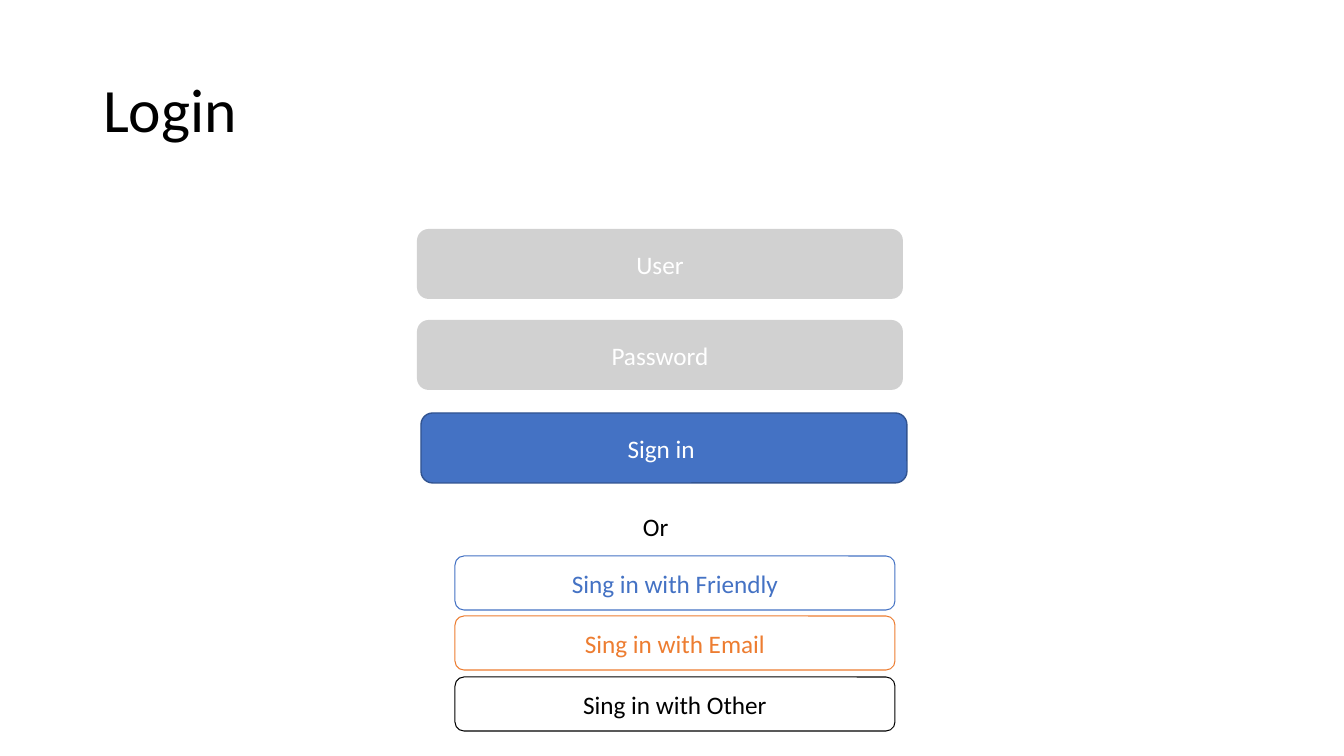
"""Build the login screen slide with its fields, button and sign-in options."""

from dataclasses import dataclass

from lxml.etree import SubElement
from pptx import Presentation
from pptx.dml.color import RGBColor
from pptx.enum.shapes import MSO_SHAPE
from pptx.enum.text import MSO_ANCHOR, PP_ALIGN
from pptx.oxml.ns import qn
from pptx.slide import Slide
from pptx.text.text import TextFrame
from pptx.util import Emu, Pt

SLIDE_WIDTH, SLIDE_HEIGHT = 1344, 756
EMU_PER_PX = 12192000 / SLIDE_WIDTH


@dataclass(frozen=True)
class Theme:
    font: str = "Calibri"
    title_size: int = 44
    body_size: int = 18
    black: str = "000000"
    white: str = "FFFFFF"
    gray: str = "A5A5A5"
    blue: str = "4472C4"
    dark_blue: str = "325491"
    orange: str = "ED7D31"


THEME = Theme()


@dataclass(frozen=True)
class Box:
    left: int
    top: int
    width: int
    height: int

    def emu(self) -> tuple[Emu, Emu, Emu, Emu]:
        left, top, width, height = (
            px(length) for length in (self.left, self.top, self.width, self.height)
        )
        return left, top, width, height


@dataclass(frozen=True)
class Button:
    text: str
    box: Box
    text_color: str
    fill: str | None = None
    opacity: int = 100
    line: str | None = None
    line_width: float = 0.75


def px(length: int) -> Emu:
    return Emu(round(length * EMU_PER_PX))


def write_text(
    frame: TextFrame,
    text: str,
    *,
    color: str = THEME.black,
    size: int = THEME.body_size,
    align: PP_ALIGN = PP_ALIGN.LEFT,
    anchor: MSO_ANCHOR = MSO_ANCHOR.MIDDLE,
    line_spacing: float = 1.0,
    wrap: bool = True,
) -> None:
    frame.word_wrap = wrap
    frame.vertical_anchor = anchor
    paragraph = frame.paragraphs[0]
    paragraph.alignment = align
    paragraph.line_spacing = line_spacing
    run = paragraph.add_run()
    run.text = text
    run.font.name = THEME.font
    run.font.size = Pt(size)
    run.font.color.rgb = RGBColor.from_string(color)


def add_button(slide: Slide, button: Button) -> None:
    shape = slide.shapes.add_shape(MSO_SHAPE.ROUNDED_RECTANGLE, *button.box.emu())
    shape.shadow.inherit = False
    if button.fill:
        shape.fill.solid()
        shape.fill.fore_color.rgb = RGBColor.from_string(button.fill)
        if button.opacity < 100:
            color = shape.element.spPr.find(f"{qn('a:solidFill')}/{qn('a:srgbClr')}")
            SubElement(color, qn("a:alpha"), val=str(button.opacity * 1000))
    else:
        shape.fill.background()
    if button.line:
        shape.line.color.rgb = RGBColor.from_string(button.line)
        shape.line.width = Pt(button.line_width)
    else:
        shape.line.fill.background()
    write_text(
        shape.text_frame, button.text, color=button.text_color, align=PP_ALIGN.CENTER
    )


def login_buttons() -> list[Button]:
    fields = [
        Button(text, Box(417, 229 + 91 * row, 486, 70), THEME.white, THEME.gray, 50)
        for row, text in enumerate(("User", "Password"))
    ]
    sign_in = Button(
        "Sign in ",
        Box(421, 413, 486, 70),
        THEME.white,
        fill=THEME.blue,
        line=THEME.dark_blue,
        line_width=1,
    )
    providers = (
        ("Friendly", THEME.blue),
        ("Email", THEME.orange),
        ("Other", THEME.black),
    )
    options = [
        Button(
            f"Sing in with {name}",
            Box(455, 556 + 121 * row // 2, 440, 54),
            color,
            line=color,
        )
        for row, (name, color) in enumerate(providers)
    ]
    return [*fields, sign_in, *options]


def main() -> None:
    presentation = Presentation()
    presentation.slide_width = px(SLIDE_WIDTH)
    presentation.slide_height = px(SLIDE_HEIGHT)
    slide = presentation.slides.add_slide(presentation.slide_layouts[5])

    title = slide.shapes.title
    title.left, title.top, title.width, title.height = Box(93, 40, 1159, 146).emu()
    write_text(title.text_frame, "Login", size=THEME.title_size, line_spacing=0.9)

    for button in login_buttons():
        add_button(slide, button)

    separator = slide.shapes.add_textbox(*Box(633, 506, 46, 40).emu())
    write_text(separator.text_frame, "Or", anchor=MSO_ANCHOR.TOP, wrap=False)

    presentation.save("out.pptx")


if __name__ == "__main__":
    main()
